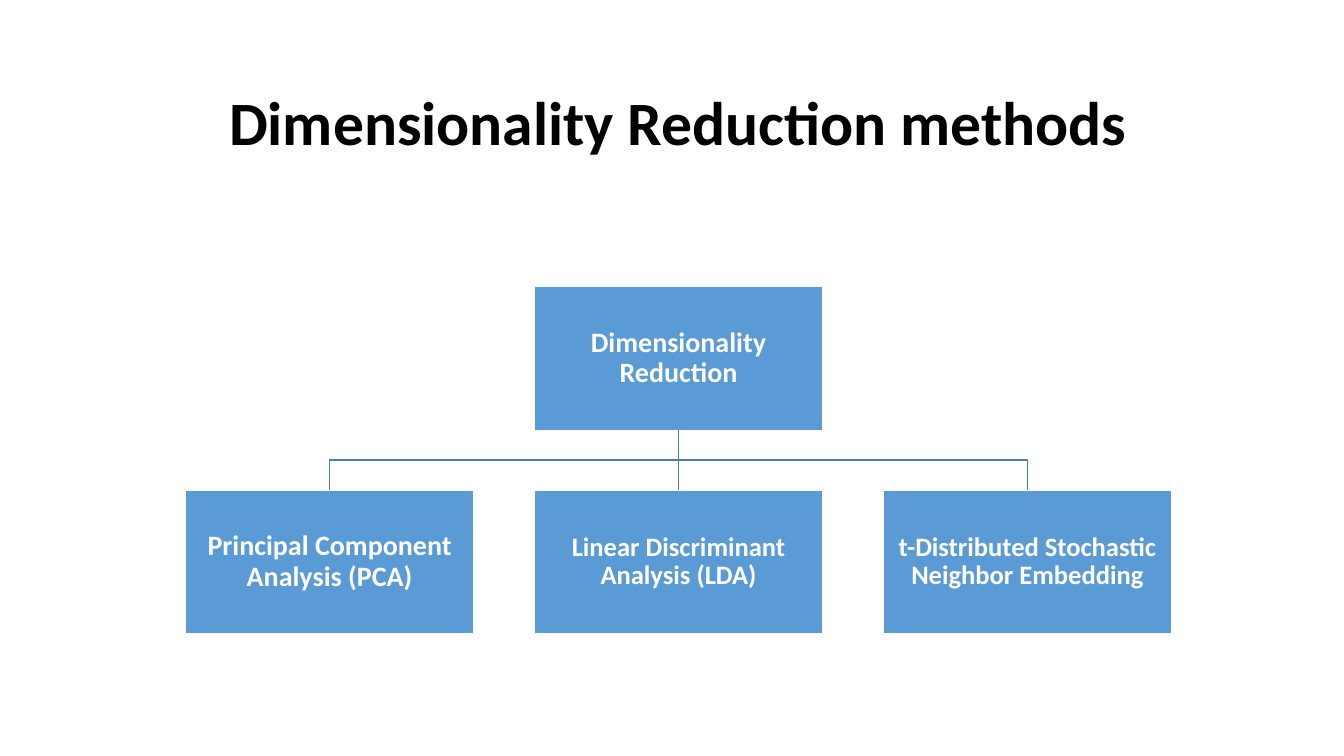
from lxml.etree import SubElement
from pptx import Presentation
from pptx.dml.color import RGBColor
from pptx.enum.shapes import MSO_CONNECTOR, MSO_SHAPE
from pptx.enum.text import MSO_ANCHOR, PP_ALIGN
from pptx.oxml.ns import qn
from pptx.util import Inches, Pt

COLOURS = {"title": "000000", "box": "5B9BD5", "white": "FFFFFF", "branch": "497CAB"}
BOX_WIDTH, BOX_HEIGHT = 2.86, 1.43
ROOT_LEFT, ROOT_TOP = 5.3, 2.84
METHOD_TOP, METHOD_PITCH = 4.86, 3.46
METHODS = [
    ("Principal Component Analysis (PCA)", 20),
    ("Linear Discriminant Analysis (LDA)", 19),
    ("t-Distributed Stochastic Neighbor Embedding", 19),
]


def set_attributes(target, values):
    for name, value in values.items():
        setattr(target, name, value)


class HierarchySlide:
    font_name = "Calibri"

    def __init__(self, presentation):
        self.slide = presentation.slides.add_slide(presentation.slide_layouts[6])
        self.shapes = self.slide.shapes

    def colour(self, name):
        return RGBColor.from_string(COLOURS[name])

    def style_line(self, shape, colour):
        shape.line.color.rgb = self.colour(colour)
        shape.line.width = Pt(1)

    def set_text(self, shape, text, size, colour, inset):
        frame = shape.text_frame
        margins = {f"margin_{side}": Inches(inset) for side in ("left", "top", "right", "bottom")}
        set_attributes(frame, {"word_wrap": True, "vertical_anchor": MSO_ANCHOR.MIDDLE, **margins})
        paragraph = frame.paragraphs[0]
        set_attributes(paragraph, {"text": text, "alignment": PP_ALIGN.CENTER, "line_spacing": 0.9})
        font = paragraph.runs[0].font
        set_attributes(font, {"name": self.font_name, "size": Pt(size), "bold": True})
        font.color.rgb = self.colour(colour)

    def title(self, text, left, top, width, height):
        shape = self.shapes.add_textbox(*map(Inches, (left, top, width, height)))
        self.set_text(shape, text, 44, "title", 0.05)

    def box(self, text, left, top, size):
        bounds = map(Inches, (left, top, BOX_WIDTH, BOX_HEIGHT))
        shape = self.shapes.add_shape(MSO_SHAPE.RECTANGLE, *bounds)
        shape.shadow.inherit = False
        shape.fill.solid()
        shape.fill.fore_color.rgb = self.colour("box")
        self.style_line(shape, "white")
        self.set_text(shape, text, size, "white", 0.01)
        return shape

    def straight_branch(self, parent, child):
        connector = self.shapes.add_connector(MSO_CONNECTOR.STRAIGHT, 0, 0, 0, 0)
        connector.begin_connect(parent, 2)
        connector.end_connect(child, 0)
        self.style_line(connector, "branch")
        SubElement(connector._element.spPr, qn("a:effectLst"))

    def bent_branch(self, parent, child):
        """Draw an open elbow from the parent's bottom to the child's top."""
        start_x = parent.left + parent.width // 2
        start_y = parent.top + parent.height
        end_x = child.left + child.width // 2
        middle_y = (start_y + child.top) // 2
        builder = self.shapes.build_freeform(start_x, start_y)
        corners = [(start_x, middle_y), (end_x, middle_y), (end_x, child.top)]
        builder.add_line_segments(corners, close=False)
        shape = builder.convert_to_shape()
        shape.shadow.inherit = False
        shape.fill.background()
        self.style_line(shape, "branch")


def main():
    presentation = Presentation()
    set_attributes(presentation, {"slide_width": Inches(13.33), "slide_height": Inches(7.5)})
    slide = HierarchySlide(presentation)
    slide.title("Dimensionality Reduction methods", 0.98, 0.52, 11.5, 1.45)

    root = slide.box("Dimensionality Reduction", ROOT_LEFT, ROOT_TOP, 20)
    for column, (text, size) in enumerate(METHODS, start=-1):
        method = slide.box(text, ROOT_LEFT + column * METHOD_PITCH, METHOD_TOP, size)
        draw_branch = slide.bent_branch if column else slide.straight_branch
        draw_branch(root, method)

    presentation.save("out.pptx")


if __name__ == "__main__":
    main()
